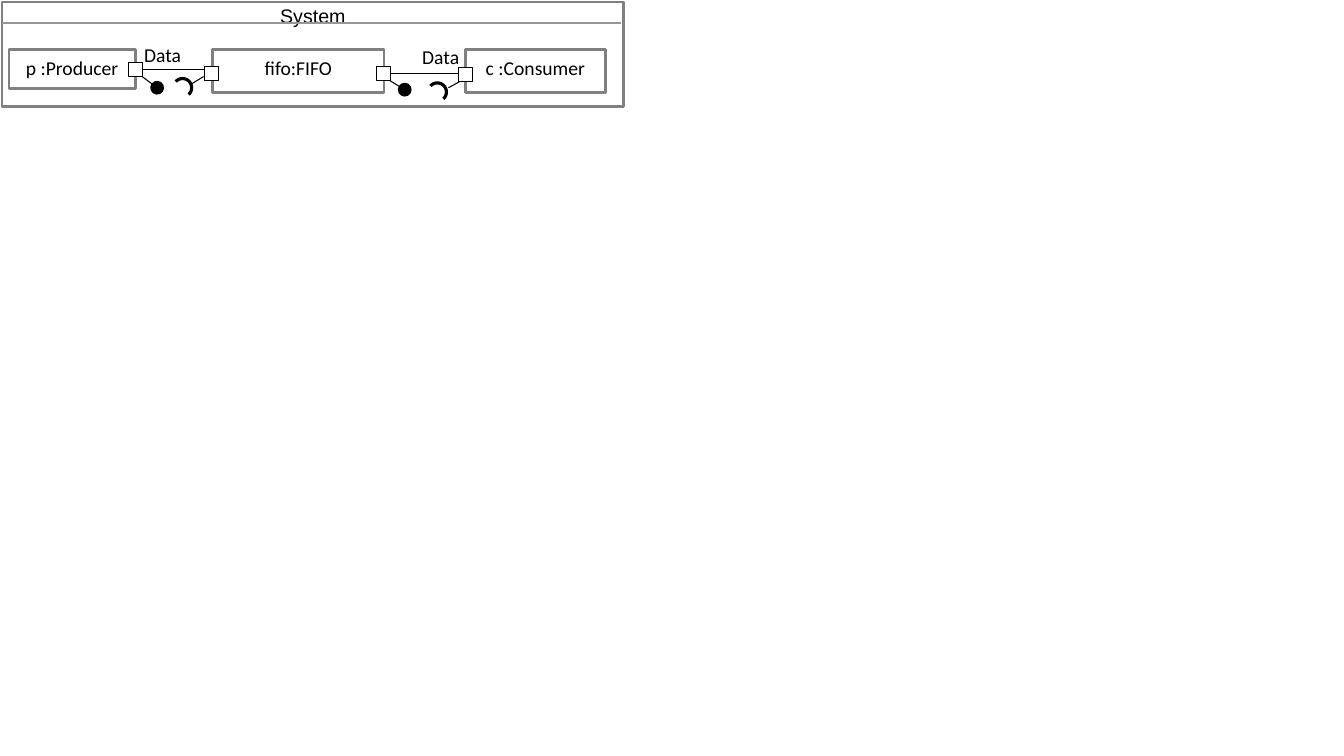
from dataclasses import dataclass
from math import cos, radians, sin

from lxml.etree import SubElement
from pptx import Presentation
from pptx.dml.color import RGBColor
from pptx.enum.shapes import MSO_CONNECTOR, MSO_SHAPE
from pptx.enum.text import MSO_ANCHOR, MSO_AUTO_SIZE, PP_ALIGN
from pptx.oxml.ns import qn
from pptx.util import Cm, Pt


@dataclass(frozen=True)
class Theme:
    ink: RGBColor = RGBColor(0, 0, 0)
    paper: RGBColor = RGBColor(255, 255, 255)
    frame: RGBColor = RGBColor(0x80, 0x80, 0x80)
    divider: RGBColor = RGBColor(0x96, 0x96, 0x96)
    title_font: str = "Arial"
    label_font: str = "Calibri"
    text_size: Pt = Pt(14)
    thick: Pt = Pt(2)
    thin: Pt = Pt(0.75)


@dataclass(frozen=True)
class Box:
    """A region in centimetres."""
    left: float
    top: float
    width: float
    height: float

    @property
    def right(self):
        return self.left + self.width

    def lengths(self):
        return [Cm(n) for n in (self.left, self.top, self.width, self.height)]


THEME = Theme()
PORT_SIZE = 0.36


def set_values(target, values):
    for attribute, value in values.items():
        setattr(target, attribute, value)


def write(shape, text, font, side=0.23, top=0.13, bottom=0.13):
    frame = shape.text_frame
    set_values(frame, {
        "word_wrap": False, "vertical_anchor": MSO_ANCHOR.TOP,
        "margin_left": Cm(side), "margin_right": Cm(side),
        "margin_top": Cm(top), "margin_bottom": Cm(bottom)})
    paragraph = frame.paragraphs[0]
    run = paragraph.add_run()
    run.text = text
    set_values(run.font, {"name": font, "size": THEME.text_size})
    run.font.color.rgb = THEME.ink
    return paragraph


def outline(shape, color, width):
    shape.line.color.rgb = color
    shape.line.width = width


def framed_box(shapes, box, text, font, **margins):
    frame = shapes.add_shape(MSO_SHAPE.ROUNDED_RECTANGLE, *box.lengths())
    frame.adjustments[0] = 0
    frame.shadow.inherit = False
    frame.fill.background()
    outline(frame, THEME.frame, THEME.thick)
    paragraph = write(frame, text, font, **margins)
    set_values(paragraph, {"alignment": PP_ALIGN.CENTER, "line_spacing": 1.07})
    return frame


def line(shapes, start, end, color=THEME.ink, width=THEME.thin):
    connector = shapes.add_connector(
        MSO_CONNECTOR.STRAIGHT, *(Cm(n) for n in (*start, *end)))
    outline(connector, color, width)
    SubElement(connector._element.spPr, qn("a:effectLst"))
    return connector


def system(shapes, box):
    framed_box(shapes, box, "System", THEME.title_font, top=0)
    divider_y = box.top + 0.53
    line(shapes, (box.left, divider_y), (box.right - 0.07, divider_y),
         THEME.divider, THEME.thick)


def component(shapes, box, text, side=0.23):
    frame = framed_box(shapes, box, text, THEME.label_font, side=side)
    frame.fill.solid()
    frame.fill.fore_color.rgb = THEME.paper
    color = frame._element.spPr.find(qn("a:solidFill"))[0]
    SubElement(color, qn("a:alpha"), val="50000")


def port(shapes, center):
    x, y = center
    box = Box(x - PORT_SIZE / 2, y - PORT_SIZE / 2, PORT_SIZE, PORT_SIZE)
    square = shapes.add_shape(MSO_SHAPE.RECTANGLE, *box.lengths())
    square.shadow.inherit = False
    square.fill.solid()
    square.fill.fore_color.rgb = THEME.paper
    outline(square, THEME.ink, THEME.thin)


def socket(shapes, center, outer=0.27, inner=0.19, start=-138, end=48, step=6):
    """Draw the open half ring of a required interface."""
    angles = range(start, end + 1, step)
    rim = [(outer, a) for a in angles] + [(inner, a) for a in reversed(angles)]
    points = [(Cm(center[0] + r * cos(radians(a))),
               Cm(center[1] + r * sin(radians(a)))) for r, a in rim]
    builder = shapes.build_freeform(*points[0])
    builder.add_line_segments(points[1:], close=True)
    ring = builder.convert_to_shape()
    ring.shadow.inherit = False
    ring.fill.solid()
    ring.fill.fore_color.rgb = THEME.ink
    ring.line.fill.background()


def label(shapes, box, text):
    note = shapes.add_textbox(*box.lengths())
    write(note, text, THEME.label_font, top=0.1, bottom=0.1)
    note.text_frame.auto_size = MSO_AUTO_SIZE.SHAPE_TO_FIT_TEXT


def link(shapes, sender, receiver, wire_y, ball, required, cup, label_at):
    """Join two ports; ball, required and cup are offsets from their port."""
    def shift(origin, offset):
        return origin[0] + offset[0], origin[1] + offset[1]

    line(shapes, (sender[0], wire_y), (receiver[0] - PORT_SIZE / 2, wire_y))
    provided = line(shapes, shift(sender, (0.16, 0.17)), shift(sender, ball))
    SubElement(provided.line._get_or_add_ln(), qn("a:tailEnd"),
               type="oval", w="lg", len="lg")
    line(shapes, *(shift(receiver, offset) for offset in required))
    socket(shapes, shift(receiver, cup))
    port(shapes, sender)
    port(shapes, receiver)
    label(shapes, Box(*label_at, 1.4, 0.81), "Data")


def component_diagram(shapes, box):
    system(shapes, box)
    row = box.top + 1.19
    producer = Box(box.left + 0.18, row, 3.18, 0.99)
    fifo = Box(box.left + 5.31, row, 4.32, 1.09)
    consumer = Box(box.left + 11.68, row, 3.53, 1.09)
    component(shapes, producer, "p :Producer")
    component(shapes, fifo, "fifo:FIFO", side=0.36)
    component(shapes, consumer, "c :Consumer")
    link(shapes, (producer.right, row + 0.51), (fifo.left - 0.02, row + 0.62),
         wire_y=row + 0.51, ball=(0.55, 0.46),
         required=((-0.21, 0.07), (-0.54, 0.27)), cup=(-0.74, 0.35),
         label_at=(producer.right - 0.01, row - 0.27))
    link(shapes, (fifo.right - 0.02, row + 0.62), (consumer.left, row + 0.64),
         wire_y=row + 0.61, ball=(0.54, 0.4),
         required=((-0.15, 0.18), (-0.43, 0.33)), cup=(-0.71, 0.44),
         label_at=(consumer.left - 1.32, row - 0.2))


def main():
    deck = Presentation()
    set_values(deck, {"slide_width": Cm(33.87), "slide_height": Cm(19.05)})
    slide = deck.slides.add_slide(deck.slide_layouts[6])
    component_diagram(slide.shapes, Box(0.05, 0.05, 15.67, 2.64))
    deck.save("out.pptx")


if __name__ == "__main__":
    main()
